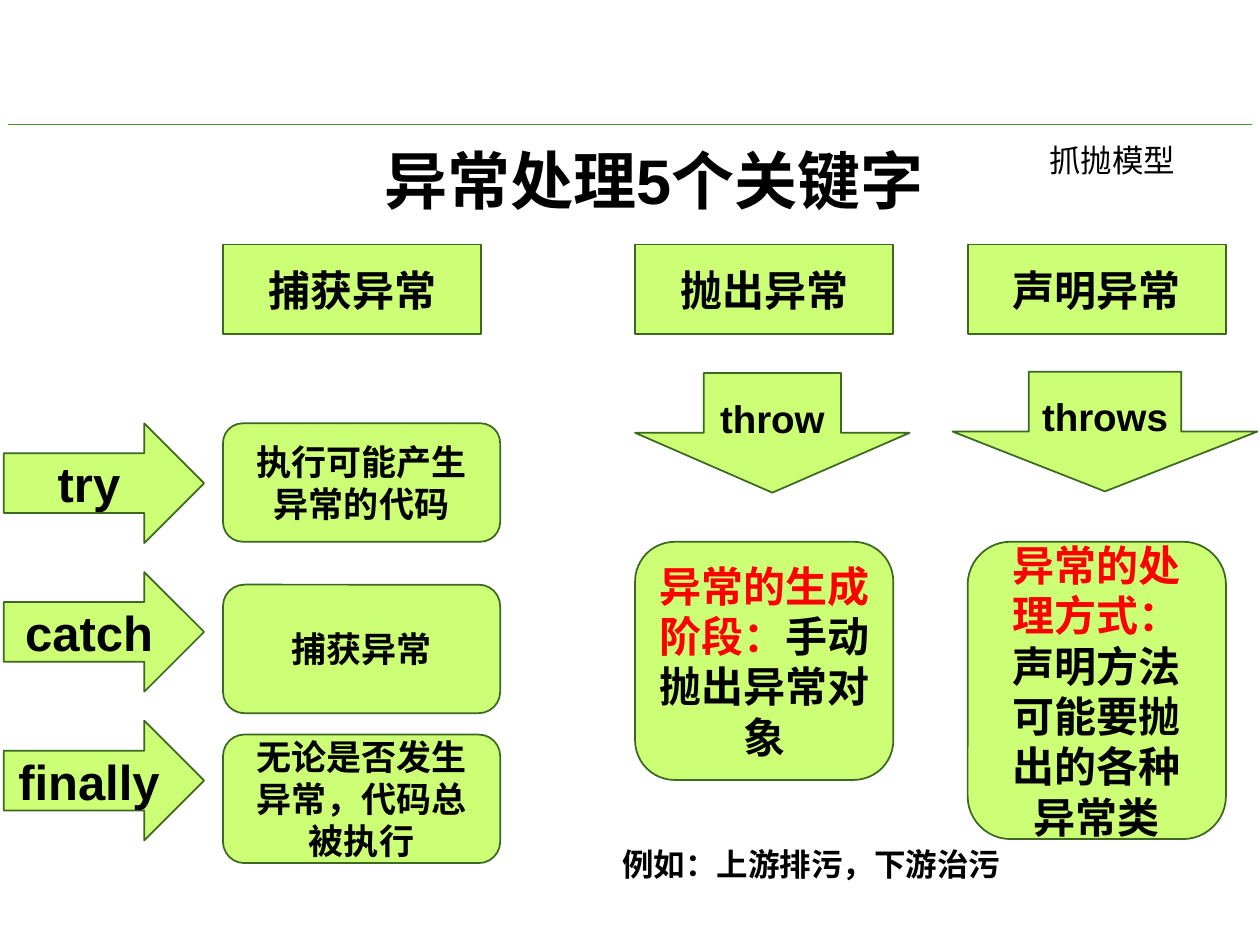
from lxml.etree import SubElement
from pptx import Presentation
from pptx.dml.color import RGBColor
from pptx.enum.shapes import MSO_CONNECTOR, MSO_SHAPE
from pptx.enum.text import MSO_ANCHOR, MSO_AUTO_SIZE, PP_ALIGN
from pptx.oxml.ns import qn
from pptx.util import Inches, Pt

WIDTH, HEIGHT = Inches(10), Inches(7.5)
COLUMN, ROW = WIDTH / 100, HEIGHT / 75
COLORS = {"lime": "CCFF75", "outline": "3D6822", "rule": "538C2E",
          "ink": "000000", "stress": "FF0000"}
LATIN, CHINESE = "Arial", "Noto Sans CJK SC"


def color(name):
    """Return the named colour of the palette."""
    return RGBColor.from_string(COLORS[name])


def grid(left, top, columns, rows):
    """Turn grid units into left, top, width and height."""
    return (round(left * COLUMN), round(top * ROW),
            round(columns * COLUMN), round(rows * ROW))


def write(frame, *runs, size=24, bold=True, font=LATIN, align=PP_ALIGN.CENTER,
          anchor=MSO_ANCHOR.MIDDLE, wrap=True):
    """Fill a text frame with one paragraph of (text, colour) runs."""
    frame.word_wrap = wrap
    frame.auto_size = MSO_AUTO_SIZE.NONE
    frame.vertical_anchor = anchor
    paragraph = frame.paragraphs[0]
    paragraph.alignment = align
    for text, ink in runs:
        run = paragraph.add_run()
        run.text = text
        run.font.size, run.font.bold, run.font.name = Pt(size), bold, font
        run.font.color.rgb = color(ink)
        SubElement(run.font._element, qn("a:ea"), typeface=CHINESE)


def add_block(slide, preset, cells, *runs, **style):
    """Add a lime preset shape with centred text."""
    block = slide.shapes.add_shape(preset, *grid(*cells))
    block.shadow.inherit = False
    block.fill.solid()
    block.fill.fore_color.rgb = color("lime")
    block.line.color.rgb = color("outline")
    block.line.width = Pt(1)
    write(block.text_frame, *runs, **style)


def add_label(slide, cells, text, **style):
    """Add a plain left-aligned text box."""
    label = slide.shapes.add_textbox(*grid(*cells))
    write(label.text_frame, (text, "ink"), size=18, align=PP_ALIGN.LEFT,
          anchor=MSO_ANCHOR.TOP, **style)


def add_rule(slide, left, right, top):
    """Add the thin horizontal rule above the title."""
    x, y, length, _ = grid(left, top, right - left, 0)
    rule = slide.shapes.add_connector(MSO_CONNECTOR.STRAIGHT, x, y, x + length, y)
    rule.line.color.rgb = color("rule")
    rule.line.width = Pt(0.5)
    SubElement(rule._element.spPr, qn("a:effectLst"))


def add_title(slide, cells, text):
    """Place and fill the title placeholder."""
    title = slide.shapes.title
    title.left, title.top, title.width, title.height = grid(*cells)
    write(title.text_frame, (text, "ink"), size=36, align=PP_ALIGN.LEFT,
          anchor=MSO_ANCHOR.TOP)


def add_catching(slide):
    """Add the try, catch and finally rows."""
    steps = [("try", "执行可能产生异常的代码", 33.6, 9.4),
             ("catch", "捕获异常", 46.4, 10.2),
             ("finally", "无论是否发生异常，代码总被执行", 58.3, 10.2)]
    for index, (keyword, meaning, top, rows) in enumerate(steps):
        add_block(slide, MSO_SHAPE.RIGHT_ARROW, (0.3, 33.6 + 11.8 * index, 15.9, 9.5),
                  (keyword, "ink"), size=28, wrap=False)
        add_block(slide, MSO_SHAPE.ROUNDED_RECTANGLE, (17.7, top, 22, rows),
                  (meaning, "ink"), size=20)


def add_throwing(slide, keyword, arrow, left, rows, stage, action):
    """Add a keyword arrow above its rounded explanation."""
    add_block(slide, MSO_SHAPE.DOWN_ARROW, arrow, (keyword, "ink"),
              size=22, wrap=False)
    add_block(slide, MSO_SHAPE.ROUNDED_RECTANGLE, (left, 43, 20.5, rows),
              (stage, "stress"), (action, "ink"))


def main():
    """Build the slide on the five exception keywords."""
    deck = Presentation()
    deck.slide_width, deck.slide_height = WIDTH, HEIGHT
    slide = deck.slides.add_slide(deck.slide_layouts[5])

    add_rule(slide, 0.6, 99.4, 9.9)
    add_title(slide, (29.5, 10.7, 52.8, 7.1), "异常处理5个关键字")
    for left, heading in ((17.7, "捕获异常"), (50.4, "抛出异常"), (76.8, "声明异常")):
        add_block(slide, MSO_SHAPE.RECTANGLE, (left, 19.4, 20.5, 7.1), (heading, "ink"))
    add_catching(slide)
    add_throwing(slide, "throw", (50.4, 29.6, 21.8, 9.5), 50.4, 18.9,
                 "异常的生成阶段：", "手动抛出异常对象")
    add_throwing(slide, "throws", (75.6, 29.5, 24.2, 9.5), 76.8, 23.6,
                 "异常的处理方式：", "声明方法可能要抛出的各种异常类")
    add_label(slide, (48.4, 66.6, 36.2, 4), "例如：上游排污，下游治污", font=CHINESE)
    add_label(slide, (82.3, 10.7, 14.2, 4), "抓抛模型", bold=False)
    deck.save("out.pptx")


if __name__ == "__main__":
    main()
